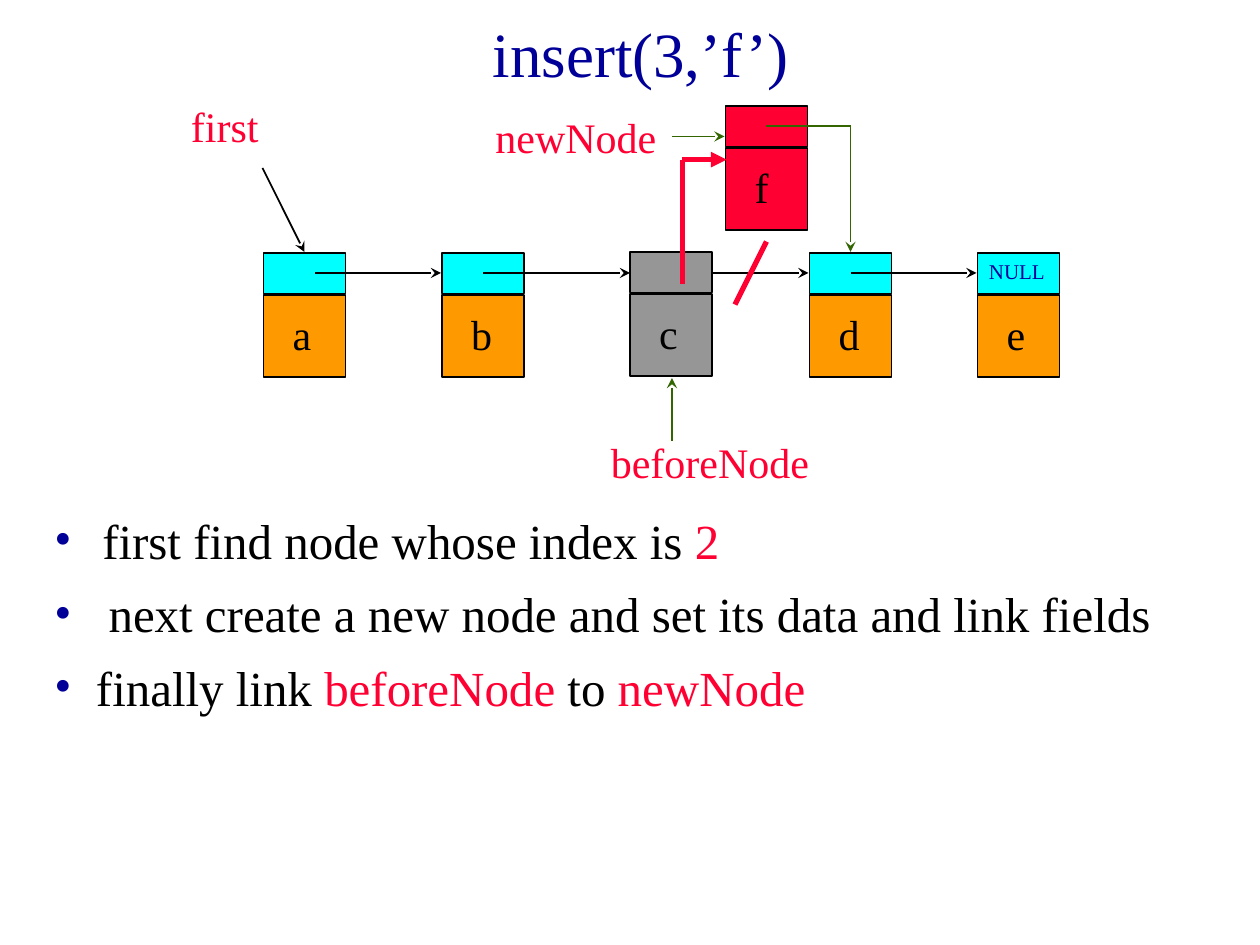
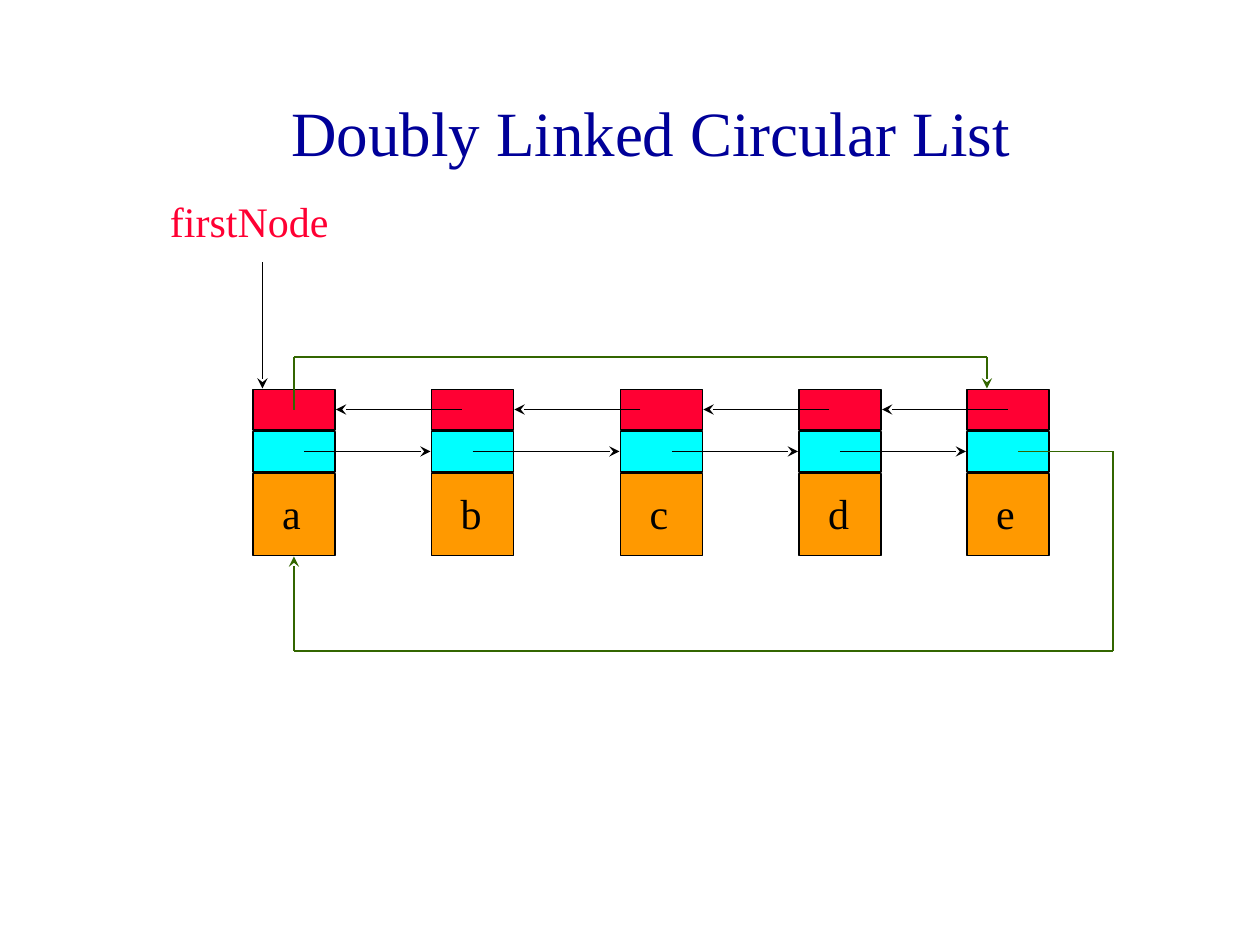
from dataclasses import dataclass
from itertools import pairwise

from lxml.etree import SubElement
from pptx import Presentation
from pptx.dml.color import RGBColor
from pptx.enum.shapes import MSO_CONNECTOR, MSO_SHAPE
from pptx.enum.text import MSO_ANCHOR, PP_ALIGN
from pptx.oxml.ns import qn
from pptx.util import Inches, Pt


@dataclass(frozen=True)
class Theme:
    font: str = "Times New Roman"
    navy: str = "000099"
    black: str = "000000"
    red: str = "FF0033"
    cyan: str = "00FFFF"
    orange: str = "FF9900"
    gray: str = "969696"
    green: str = "336600"
    title_size: int = 36
    bullet_size: int = 28
    label_size: int = 24
    null_size: int = 12
    thin: int = 1
    thick: int = 3


THEME = Theme()
SLIDE_WIDTH, SLIDE_HEIGHT = Inches(10), Inches(7.5)
COLUMNS = 120
UNIT = SLIDE_WIDTH / COLUMNS
TITLE_ONLY = 5

NODE_OFFSETS = [0, 17, 35, 52, 68]
LINK_STARTS = [5, 21, 40, 56]
CELL_WIDTH = 7.8
LINK_HEIGHT = 3.85
CELL_PITCH = 4
CELL_INSET = 0.1
LETTER_INSET = (1.6, 0.7)
BACK_REACH = 12


def grid(*lengths):
    return [round(length * UNIT) for length in lengths]


def color(value):
    return RGBColor.from_string(value)


def add_span(para, text, size, ink):
    span = para.add_run()
    span.text = text
    span.font.name = THEME.font
    span.font.size = Pt(size)
    span.font.color.rgb = color(ink)


def add_title_slide(deck, text, area):
    page = deck.slides.add_slide(deck.slide_layouts[TITLE_ONLY])
    title = page.shapes.title
    title.left, title.top, title.width, title.height = grid(*area)
    title.text_frame.vertical_anchor = MSO_ANCHOR.MIDDLE
    para = title.text_frame.paragraphs[0]
    para.alignment = PP_ALIGN.CENTER
    add_span(para, text, THEME.title_size, THEME.navy)
    return page


def add_text(page, area, spans, size, space_before=0):
    box = page.shapes.add_textbox(*grid(*area))
    box.text_frame.word_wrap = True
    para = box.text_frame.paragraphs[0]
    para.space_before = Pt(space_before)
    for text, ink in spans:
        add_span(para, text, size, ink)
    return para


def add_pointer_name(page, text, column, row, width):
    add_text(page, (column, row, width, 6), [(text, THEME.red)], THEME.label_size, 15)


def add_bullet(page, row, indent, spans):
    para = add_text(page, (4, row, 111, 7), spans, THEME.bullet_size, 7)
    properties = para._p.get_or_add_pPr()
    properties.set("marL", str(Inches(indent)))
    properties.set("indent", str(-Inches(indent)))
    bullet_color = SubElement(properties, qn("a:buClr"))
    SubElement(bullet_color, qn("a:srgbClr"), val=THEME.navy)
    SubElement(properties, qn("a:buFont"), typeface=THEME.font)
    SubElement(properties, qn("a:buChar"), char="•")


def add_cell(page, column, row, height, fill):
    cell = page.shapes.add_shape(
        MSO_SHAPE.RECTANGLE, *grid(column, row, CELL_WIDTH, height))
    cell.shadow.inherit = False
    cell.fill.solid()
    cell.fill.fore_color.rgb = color(fill)
    cell.line.color.rgb = color(THEME.black)
    cell.line.width = Pt(THEME.thin)


def add_node(page, letter, column, row, link_fill=THEME.cyan,
             data_fill=THEME.orange, inset=CELL_INSET):
    left, top = column + inset, row + inset
    data_top = top + CELL_PITCH
    add_cell(page, left, data_top, CELL_WIDTH, data_fill)
    add_cell(page, left, top, LINK_HEIGHT, link_fill)
    across, down = LETTER_INSET
    add_text(page, (left + across, data_top + down, 5, 6),
             [(letter, THEME.black)], THEME.label_size)


def add_route(page, points, ink=THEME.black, width=THEME.thin, head="stealth"):
    segments = list(pairwise(points))
    for number, (start, end) in enumerate(segments, 1):
        line = page.shapes.add_connector(MSO_CONNECTOR.STRAIGHT, *grid(*start, *end))
        line.line.color.rgb = color(ink)
        line.line.width = Pt(width)
        if head and number == len(segments):
            SubElement(line.line._get_or_add_ln(), qn("a:tailEnd"), type=head)
        SubElement(line._element.spPr, qn("a:effectLst"))


def add_forward_links(page, start, row):
    for tail, target in zip(LINK_STARTS, NODE_OFFSETS[1:]):
        add_route(page, [(start + tail, row), (start + target, row)])


def add_back_links(page, start, row):
    for offset in NODE_OFFSETS[:-1]:
        end = start + offset + 8
        add_route(page, [(end + BACK_REACH, row), (end, row)])


def build_insert_slide(deck):
    page = add_title_slide(deck, "insert(3,’f’)", (10, 0, 102, 10))
    start, row = 25, 24
    middle = start + NODE_OFFSETS[2]
    for letter, offset in zip("abcde", NODE_OFFSETS):
        if letter != "c":
            add_node(page, letter, start + offset, row)
    add_forward_links(page, start, row + 2)
    add_node(page, "c", middle, row, THEME.gray, THEME.gray, inset=0)
    add_text(page, (start + NODE_OFFSETS[-1], row, 8, 3.6),
             [("NULL", THEME.navy)], THEME.null_size, 7.5)

    add_pointer_name(page, "first", 17, 9, 22)
    add_route(page, [(25, 16), (29, row)])
    add_node(page, "f", 69, 10, THEME.red, THEME.red)
    add_route(page, [(73, 12), (81, 12), (81, row)], THEME.green)
    add_pointer_name(page, "newNode", 46, 10, 20)
    add_route(page, [(64, 13), (69, 13)], THEME.green)
    add_pointer_name(page, "beforeNode", 57, 41, 24)
    add_route(page, [(64, 42), (64, 36)], THEME.green)
    add_route(page, [(73, 23), (70, 29)], THEME.red, THEME.thick, head=None)
    add_route(page, [(65, 27), (65, 15.2), (69.2, 15.2)],
              THEME.red, THEME.thick, "triangle")

    add_bullet(page, 48, 0.38, [
        ("first find node whose index is ", THEME.black), ("2", THEME.red)])
    add_bullet(page, 55, 0.43, [
        ("next create a new node and set its data and link fields", THEME.black)])
    add_bullet(page, 62, 0.33, [
        ("finally link", THEME.black), (" beforeNode ", THEME.red),
        ("to", THEME.black), (" newNode", THEME.red)])


def build_circular_slide(deck):
    page = add_title_slide(deck, "Doubly Linked Circular List", (11, 5, 102, 15))
    start, row = 24, 41
    back_row = row - CELL_PITCH
    for letter, offset in zip("abcde", NODE_OFFSETS):
        column = start + offset
        add_node(page, letter, column, row)
        add_cell(page, column + CELL_INSET, back_row + CELL_INSET,
                 LINK_HEIGHT, THEME.red)
    add_forward_links(page, start, row + 2)
    add_back_links(page, start, back_row + 2)

    add_pointer_name(page, "firstNode", 15, 18, 22)
    add_route(page, [(25, 25), (25, back_row)])
    add_route(page, [(97, 43), (106, 43), (106, 62), (28, 62), (28, 53)], THEME.green)
    add_route(page, [(28, 39), (28, 34), (94, 34), (94, back_row)], THEME.green)


def main():
    deck = Presentation()
    deck.slide_width, deck.slide_height = SLIDE_WIDTH, SLIDE_HEIGHT
    build_insert_slide(deck)
    build_circular_slide(deck)
    deck.save("out.pptx")


if __name__ == "__main__":
    main()
